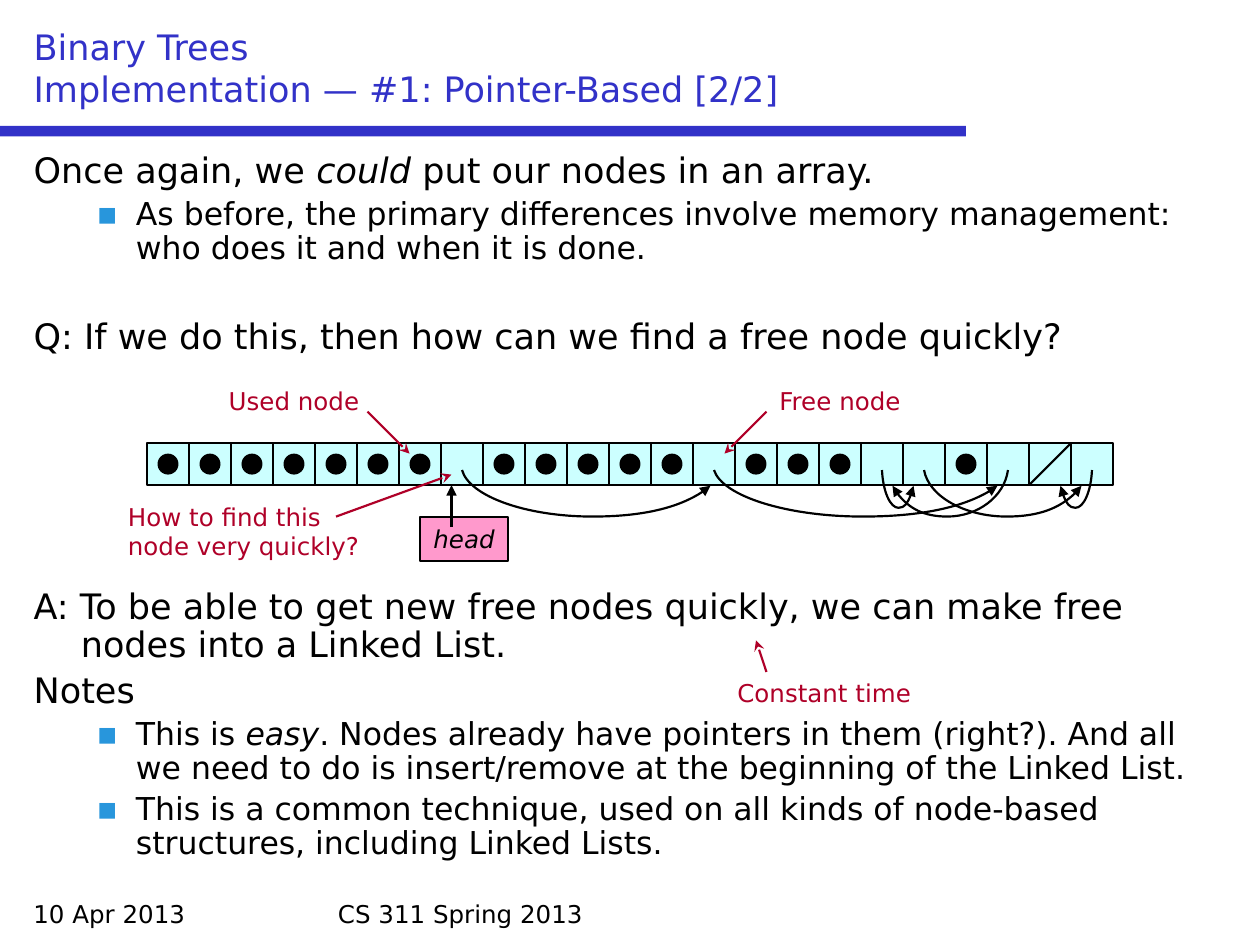
from lxml.etree import SubElement
from pptx import Presentation
from pptx.dml.color import RGBColor
from pptx.enum.shapes import MSO_CONNECTOR, MSO_SHAPE
from pptx.enum.text import MSO_ANCHOR, MSO_AUTO_SIZE, PP_ALIGN
from pptx.oxml.ns import qn
from pptx.util import Pt

FONT = "DejaVu Sans"
BLACK, BLUE, RED = "000000", "3232C8", "AF0028"
CYAN, PINK, SKY = "CCFFFF", "FF99CC", "2896DC"

TITLE = "Binary Trees\vImplementation — #1: Pointer-Based [2/2]"
# level, space before, runs (every second run is italic)
BODY = [
    (0, 4.6, ["Once again, we ", "could", " put our nodes in an array."]),
    (1, 4.2, ["As before, the primary differences involve memory management: "
              "who does it and when it is done."]),
    (0, 30.3, ["Q: If we do this, then how can we find a free node quickly?"]),
    (0, 132.7, ["A: To be able to get new free nodes quickly, we can make free "
                "nodes into a Linked List."]),
    (0, 4.6, ["Notes"]),
    (1, 4.2, ["This is ", "easy", ". Nodes already have pointers in them (right?). "
              "And all we need to do is insert/remove at the beginning of the "
              "Linked List."]),
    (1, 4.2, ["This is a common technique, used on all kinds of node-based "
              "structures, including Linked Lists."]),
]
LEVELS = [(20, 27, -27), (18, 58.5, -22.5)]  # size, margin, first-line indent

LEFT, CENTER = PP_ALIGN.LEFT, PP_ALIGN.CENTER
LABELS = [
    ("10 Apr 2013", (12, 510, 168, 24), BLACK, LEFT),
    ("CS 311 Spring 2013", (186, 510, 348, 24), BLACK, LEFT),
    ("Used node", (120, 217.2, 96, 24.4), RED, CENTER),
    ("Free node", (432, 217.2, 96, 24.4), RED, CENTER),
    ("How to find this node very quickly?", (66, 283.2, 156, 42), RED, LEFT),
    ("Constant time", (408, 384, 126, 24.4), RED, CENTER),
]
ARROWS = [
    ((210, 235.2), (234, 259.2), RED, "stealth"),
    ((438, 235.2), (414, 259.2), RED, "stealth"),
    ((192, 295.2), (258, 271.2), RED, "stealth"),
    ((258, 301.2), (258, 277.2), BLACK, "triangle"),
    ((438, 384), (432, 366), RED, "stealth"),
]

X, Y, CELL, DOT = 84, 253.2, 24, 12
COUNT, NULL = 23, 21
USED = [*range(7), *range(8, 13), 14, 15, 16, 19]
# from cell, to cell, distance of the tip from the target's centre
LINKS = [(7, 13, 2), (13, 20, 6), (20, 17, 6), (17, 18, 6), (18, 22, 6), (22, 21, 6)]
# curve points as shares of the span and of the depth
CURVE = [(.03, .57), (.26, 1), (.525, 1), (.73, 1), (.91, .76)]


def color(code):
    """Turn a hex string into a colour."""
    return RGBColor.from_string(code)


def style(para, size, code):
    """Format every run of a paragraph."""
    for run in para.runs:
        run.font.name, run.font.size = FONT, Pt(size)
        run.font.color.rgb = color(code)


def place(shape, box):
    """Move a shape to a box given in points."""
    shape.left, shape.top, shape.width, shape.height = map(Pt, box)


def stroke(shape, code, head=None):
    """Draw a line, with an arrowhead at its end if one is named."""
    shape.line.color.rgb = color(code)
    shape.line.width = Pt(1.25)
    if head:
        SubElement(shape.line._get_or_add_ln(), qn("a:tailEnd"), type=head)


def solid(kind, box, fill, edge=None):
    """Add a filled preset shape."""
    shape = slide.shapes.add_shape(kind, *map(Pt, box))
    shape.shadow.inherit = False
    shape.fill.solid()
    shape.fill.fore_color.rgb = color(fill)
    if edge:
        stroke(shape, edge)
    else:
        shape.line.fill.background()
    return shape


def line(start, end, code, head=None):
    """Add a straight connector."""
    link = slide.shapes.add_connector(
        MSO_CONNECTOR.STRAIGHT, *map(Pt, (*start, *end)))
    stroke(link, code, head)
    SubElement(link._element.spPr, qn("a:effectLst"))


def label(text, box, code, align):
    """Add a small text box."""
    frame = slide.shapes.add_textbox(*map(Pt, box)).text_frame
    frame.word_wrap = True
    frame.text = text
    frame.paragraphs[0].alignment = align
    style(frame.paragraphs[0], 14, code)


def bullet(para, char):
    """Give a paragraph a square bullet, or none."""
    props = para._p.get_or_add_pPr()
    if char:
        tint = SubElement(props, qn("a:buClr"))
        SubElement(tint, qn("a:srgbClr"), val=SKY)
        SubElement(props, qn("a:buFont"), typeface=FONT)
        SubElement(props, qn("a:buChar"), char=char)
    else:
        SubElement(props, qn("a:buNone"))


def center(cell):
    """Give the x of a cell's centre."""
    return X + (cell + .5) * CELL


def curve(src, dst, gap):
    """Draw a curved pointer from one cell to the underside of another."""
    side = 1 if dst > src else -1
    start, end, top = center(src), center(dst) - side * gap, Y + 15.4
    depth = 21.6 if abs(dst - src) == 1 else 26.6
    dots = [(start + u * (end - start), top + v * depth) for u, v in CURVE]
    dots.append((end, Y + CELL + .4))
    build = slide.shapes.build_freeform(Pt(start), Pt(top))
    build.add_line_segments([(Pt(x), Pt(y)) for x, y in dots], close=False)
    shape = build.convert_to_shape()
    shape.shadow.inherit = False
    shape.fill.background()
    stroke(shape, BLACK, "triangle")
    route = next(shape._element.iter(qn("a:path")))
    steps = route.findall(qn("a:lnTo"))
    for i in range(0, len(steps), 3):
        bend = SubElement(route, qn("a:cubicBezTo"))
        for step in steps[i:i + 3]:
            bend.append(step[0])
            route.remove(step)


deck = Presentation()
deck.slide_width, deck.slide_height = Pt(720), Pt(540)
slide = deck.slides.add_slide(deck.slide_layouts[1])

title, body = slide.placeholders
place(title, (12, 12, 696, 54))
frame = title.text_frame
frame.text = TITLE
frame.auto_size = MSO_AUTO_SIZE.NONE
frame.vertical_anchor = MSO_ANCHOR.BOTTOM
frame.paragraphs[0].alignment = LEFT
style(frame.paragraphs[0], 20, BLUE)

place(body, (12, 84, 696, 420))
frame = body.text_frame
frame.auto_size = MSO_AUTO_SIZE.NONE
for n, (level, space, runs) in enumerate(BODY):
    para = frame.add_paragraph() if n else frame.paragraphs[0]
    size, margin, indent = LEVELS[level]
    para.level, para.line_spacing, para.space_before = level, .9, Pt(space)
    props = para._p.get_or_add_pPr()
    props.set("marL", str(Pt(margin)))
    props.set("indent", str(Pt(indent)))
    bullet(para, "▪" if level else None)
    for k, text in enumerate(runs):
        run = para.add_run()
        run.text = text
        run.font.italic = k % 2 == 1
    style(para, size, BLACK)

solid(MSO_SHAPE.RECTANGLE, (0, 72, 552, 6), BLUE)
for cell in range(COUNT):
    solid(MSO_SHAPE.RECTANGLE, (X + cell * CELL, Y, CELL, CELL), CYAN, BLACK)
for cell in USED:
    solid(MSO_SHAPE.OVAL, (center(cell) - DOT / 2, Y + DOT / 2, DOT, DOT), BLACK)
line((X + NULL * CELL, Y + CELL), (X + (NULL + 1) * CELL, Y), BLACK)

head = solid(MSO_SHAPE.RECTANGLE, (240, 295.2, 50.4, 25.6), PINK, BLACK)
frame = head.text_frame
frame.text = "head"
frame.word_wrap = False
frame.vertical_anchor = MSO_ANCHOR.MIDDLE
frame.paragraphs[0].alignment = CENTER
style(frame.paragraphs[0], 14, BLACK)
frame.paragraphs[0].runs[0].font.italic = True

for item in LABELS:
    label(*item)
for item in ARROWS:
    line(*item)
for item in LINKS:
    curve(*item)

deck.save("out.pptx")
